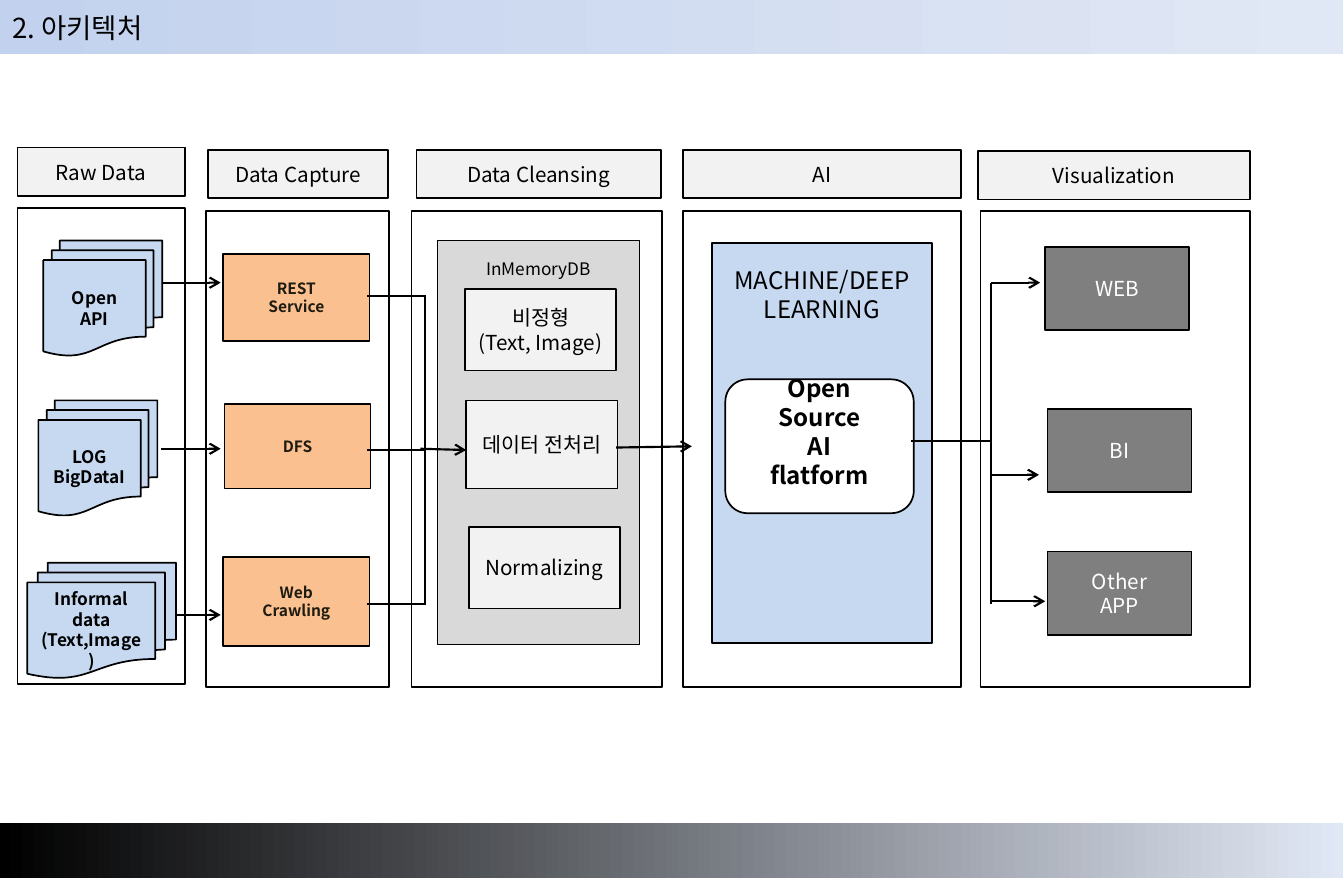
"""Build the data and AI architecture slide."""
import pptx
import pptx.dml.color
import pptx.enum.shapes
import pptx.enum.text
import pptx.oxml
import pptx.oxml.ns
import pptx.util

Inches = pptx.util.Inches
Pt = pptx.util.Pt
RGBColor = pptx.dml.color.RGBColor
KIND = pptx.enum.shapes.MSO_SHAPE
ALIGN = pptx.enum.text.PP_ALIGN
ANCHOR = pptx.enum.text.MSO_ANCHOR

BLACK = RGBColor(0, 0, 0)
WHITE = RGBColor(255, 255, 255)
INK = RGBColor(0x1E, 0x1C, 0x11)
PALE = RGBColor(0xF2, 0xF2, 0xF2)
SILVER = RGBColor(0xD9, 0xD9, 0xD9)
GRAY = RGBColor(0x7F, 0x7F, 0x7F)
BLUE = RGBColor(0xC6, 0xD9, 0xF1)
ORANGE = RGBColor(0xFA, 0xC0, 0x90)
SKY = RGBColor(0xC2, 0xD1, 0xED)
MIST = RGBColor(0xE1, 0xE8, 0xF5)
FONT = "Noto Sans CJK KR"

TITLE = "2. 아키텍처"
BANDS = [(0, SKY), (6.64, BLACK)]
STAGES = [
    ("Raw Data", (0.14, 1.19, 1.35), (0.14, 1.68, 1.35)),
    ("Data Capture", (1.68, 1.21, 1.45), (1.66, 1.7, 1.48)),
    ("Data Cleansing", (3.36, 1.21, 1.97), (3.32, 1.7, 2.02)),
    ("AI", (5.51, 1.21, 2.24), (5.51, 1.7, 2.24)),
    ("Visualization", (7.89, 1.22, 2.19), (7.91, 1.7, 2.17)),
]
DOCS = [
    ("Open\nAPI", (0.35, 1.94, 0.96, 0.93), 0.22),
    ("LOG\nBigDataI", (0.31, 3.23, 0.96, 0.93), 0.21),
    ("Informal\ndata\n(Text,Image)", (0.22, 4.54, 1.2, 0.93), 0.05),
]
FEEDS = [
    ("REST\nService", (1.8, 2.05, 1.18, 0.7)),
    ("DFS", (1.81, 3.26, 1.18, 0.68)),
    ("Web\nCrawling", (1.8, 4.49, 1.18, 0.72)),
]
STEPS = [
    ("비정형\n(Text, Image)", (3.75, 2.33, 1.22, 0.66)),
    ("데이터 전처리", (3.76, 3.23, 1.22, 0.71)),
    ("Normalizing", (3.78, 4.25, 1.22, 0.66)),
]
VIEWS = [
    ("WEB", (8.43, 1.99, 1.16, 0.67)),
    ("BI", (8.45, 3.3, 1.16, 0.67)),
    ("Other\nAPP", (8.45, 4.45, 1.16, 0.67)),
]
STORE = ("InMemoryDB", (3.53, 1.94, 1.63, 3.26))
MODEL = ("MACHINE/DEEP\nLEARNING", (5.74, 1.96, 1.78, 3.23))
ENGINE = ("Open\nSource\nAI\nflatform", (5.85, 3.06, 1.52, 1.08))
ARROWS = [
    (1.31, 2.28, 1.78, 2.28), (1.3, 3.62, 1.78, 3.62),
    (1.43, 4.96, 1.78, 4.96), (3.39, 3.62, 3.76, 3.63),
    (4.97, 3.61, 5.58, 3.6), (7.99, 2.28, 8.39, 2.28),
    (7.99, 3.83, 8.38, 3.83), (7.99, 4.85, 8.43, 4.85),
]
LINES = [
    (2.96, 2.39, 3.44, 2.39), (2.96, 3.63, 3.44, 3.63),
    (2.96, 4.87, 3.44, 4.87), (3.43, 2.39, 3.43, 4.88),
    (7.99, 2.28, 7.99, 4.87), (7.35, 3.56, 7.99, 3.56),
]


def write(shape, text, size, color=BLACK, bold=False, top=None, low=0.05,
          align=ALIGN.CENTER):
    frame = shape.text_frame
    frame.word_wrap = True
    frame.vertical_anchor = ANCHOR.MIDDLE if top is None else ANCHOR.TOP
    frame.margin_left = frame.margin_right = Inches(0.1)
    frame.margin_top = Inches(0.05 if top is None else top)
    frame.margin_bottom = Inches(low)
    for i, line in enumerate(text.split("\n")):
        para = frame.add_paragraph() if i else frame.paragraphs[0]
        para.text = line
        para.alignment = align
        para.line_spacing = Pt(size * 1.2)
        font = para.font
        font.name, font.size, font.bold = FONT, Pt(size), bold
        font.color.rgb = color
        latin = para._p.pPr.find(".//" + pptx.oxml.ns.qn("a:latin"))
        latin.addnext(pptx.oxml.parse_xml(
            f'<a:ea {pptx.oxml.ns.nsdecls("a")} typeface="{FONT}"/>'))


def block(slide, spot, fill=None, kind=KIND.RECTANGLE):
    shape = slide.shapes.add_shape(kind, *map(Inches, spot))
    shape.shadow.inherit = False
    shape.line.color.rgb = BLACK
    shape.line.width = Pt(1)
    if fill is None:
        shape.fill.background()
    else:
        shape.fill.solid()
        shape.fill.fore_color.rgb = fill
    return shape


def band(slide, top, start):
    shape = block(slide, (0, top, 10.83, 0.44))
    shape.line.fill.background()
    shape.fill.gradient()
    shape.fill.gradient_angle = 0
    for stop, color in zip(shape.fill.gradient_stops, (start, MIST)):
        stop.color.rgb = color


def link(slide, ends, arrow):
    line = slide.shapes.add_connector(
        pptx.enum.shapes.MSO_CONNECTOR.STRAIGHT, *map(Inches, ends))
    line.line.color.rgb = BLACK
    line.line.width = Pt(1.25)
    space = pptx.oxml.ns.nsdecls("a")
    if arrow:
        line.line._ln.append(
            pptx.oxml.parse_xml(f'<a:tailEnd {space} type="arrow"/>'))
    line._element.spPr.append(pptx.oxml.parse_xml(f"<a:effectLst {space}/>"))


def main():
    deck = pptx.Presentation()
    deck.slide_width, deck.slide_height = Inches(10.84), Inches(7.09)
    slide = deck.slides.add_slide(deck.slide_layouts[6])
    for top, start in BANDS:
        band(slide, top, start)
    title = slide.shapes.add_textbox(*map(Inches, (0, 0.04, 10.82, 0.37)))
    write(title, TITLE, 16, align=ALIGN.LEFT)
    for name, head, panel in STAGES:
        block(slide, (*panel, 3.84))
        write(block(slide, (*head, 0.39), PALE), name, 12)
    for text, spot, top in DOCS:
        shape = block(slide, spot, BLUE, KIND.FLOWCHART_MULTIDOCUMENT)
        write(shape, text, 10, bold=True, top=top)
    write(block(slide, STORE[1], SILVER), STORE[0], 10, top=0.14)
    write(block(slide, MODEL[1], BLUE), MODEL[0], 14, top=0.18)
    shape = block(slide, ENGINE[1], WHITE, KIND.ROUNDED_RECTANGLE)
    write(shape, ENGINE[0], 14, bold=True, low=0.29)
    for group, fill, size, color, bold in (
            (FEEDS, ORANGE, 9, INK, True),
            (STEPS, PALE, 12, BLACK, False),
            (VIEWS, GRAY, 12, WHITE, False)):
        for text, spot in group:
            write(block(slide, spot, fill), text, size, color, bold)
    for group, arrow in ((LINES, False), (ARROWS, True)):
        for ends in group:
            link(slide, ends, arrow)
    deck.save("out.pptx")


if __name__ == "__main__":
    main()
